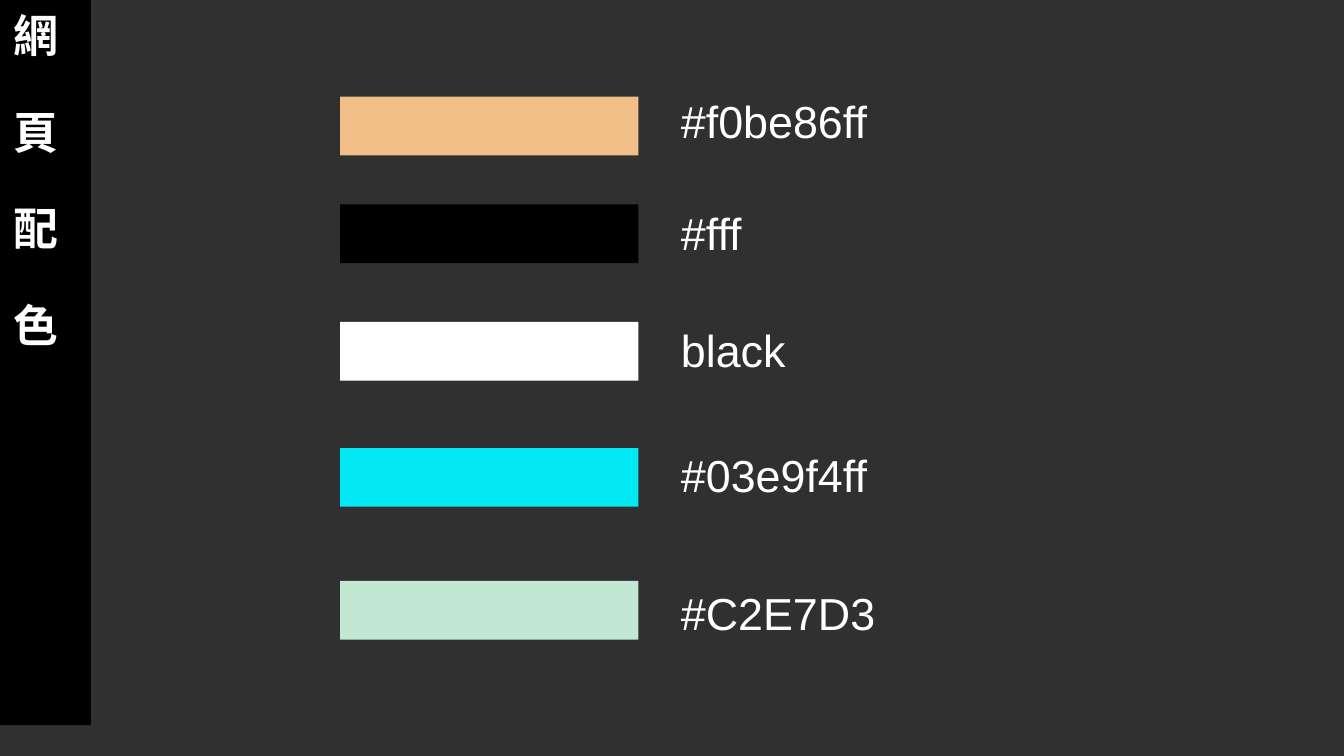
import pptx
import pptx.dml.color
import pptx.enum.shapes
import pptx.enum.text
import pptx.oxml
import pptx.oxml.ns
import pptx.util

PX = 9525
WHITE = "FFFFFF"
CJK_FONT = "Noto Sans CJK TC"
SWATCHES = [
    (69, "F0BE86", 57, "#f0be86ff"),
    (146, "000000", 137, "#fff"),
    (230, "FFFFFF", 221, "black"),
    (320, "03E9F4", 310, "#03e9f4ff"),
    (415, "C2E7D3", 409, "#C2E7D3"),
]


def px(*lengths):
    """Turn px lengths into EMU."""
    return [pptx.util.Emu(length * PX) for length in lengths]


def paint(target, color):
    """Give a fill a solid colour."""
    target.solid()
    target.fore_color.rgb = pptx.dml.color.RGBColor.from_string(color)


def set_frame(frame):
    """Set wrapping, insets and top anchoring of a text frame."""
    frame.word_wrap = True
    frame.auto_size = pptx.enum.text.MSO_AUTO_SIZE.NONE
    frame.vertical_anchor = pptx.enum.text.MSO_ANCHOR.TOP
    frame.margin_left = frame.margin_right = pptx.util.Inches(0.1)
    frame.margin_top = frame.margin_bottom = pptx.util.Inches(0.1)


def add_span(para, text, font, bold=False):
    """Add one white 24 pt run to a paragraph."""
    span = para.add_run()
    span.text = text
    span.font.name = font
    span.font.size = pptx.util.Pt(24)
    span.font.bold = bold
    paint(span.font.fill, WHITE)
    return span


def place_sidebar(title, left, top, width, height, text):
    """Turn the title placeholder into a sidebar with one character a line."""
    title.left, title.top, title.width, title.height = px(left, top, width, height)
    paint(title.fill, "000000")
    frame = title.text_frame
    set_frame(frame)
    for index, character in enumerate(text):
        para = frame.add_paragraph() if index else frame.paragraphs[0]
        para.alignment = pptx.enum.text.PP_ALIGN.LEFT
        para.line_spacing = 0.9
        para.space_before = pptx.util.Pt(26 if index else 0)
        span = add_span(para, character, CJK_FONT, bold=True)
        east_asian = pptx.oxml.parse_xml(
            f'<a:ea {pptx.oxml.ns.nsdecls("a")} typeface="{CJK_FONT}"/>')
        span.font._element.append(east_asian)


def add_palette(page, left, top):
    """Add the colour bars with their labels to the right."""
    for bar_top, color, label_top, label in SWATCHES:
        bar = page.shapes.add_shape(
            pptx.enum.shapes.MSO_SHAPE.RECTANGLE, *px(left, top + bar_top, 213, 42))
        bar.shadow.inherit = False
        paint(bar.fill, color)
        bar.line.fill.background()
        box = page.shapes.add_textbox(*px(left + 234, top + label_top, 239, 58))
        set_frame(box.text_frame)
        add_span(box.text_frame.paragraphs[0], label, "Arial")


def main():
    """Build and save the slide."""
    deck = pptx.Presentation()
    deck.slide_width, deck.slide_height = px(960, 540)
    page = deck.slides.add_slide(deck.slide_layouts[5])
    paint(page.background.fill, "303030")
    place_sidebar(page.shapes.title, 0, 0, 65, 518, "網頁配色")
    add_palette(page, 243, 0)
    deck.save("out.pptx")


if __name__ == "__main__":
    main()
